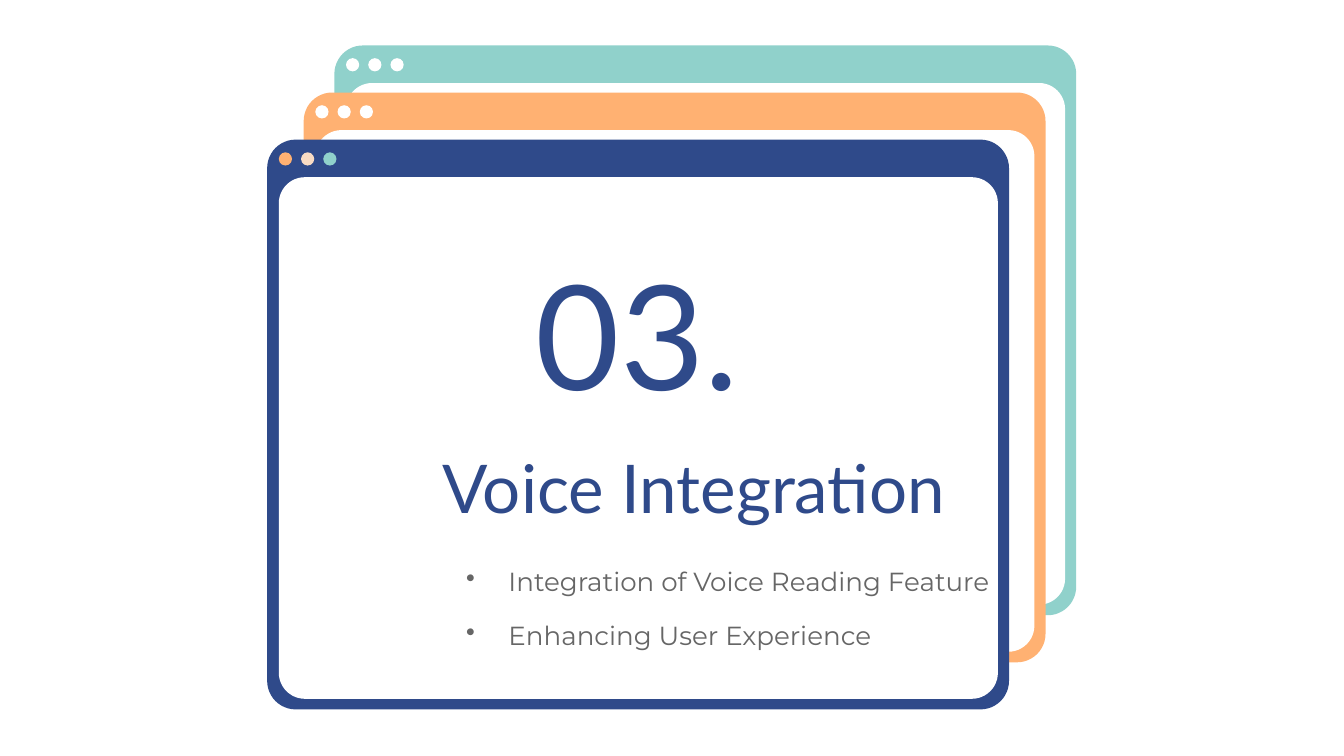
from lxml import etree
from pptx import Presentation
from pptx.dml.color import RGBColor
from pptx.enum.shapes import MSO_SHAPE
from pptx.enum.text import MSO_ANCHOR, PP_ALIGN
from pptx.oxml.ns import qn
from pptx.util import Cm, Pt

ROUNDED, OVAL = MSO_SHAPE.ROUNDED_RECTANGLE, MSO_SHAPE.OVAL
TOP, MIDDLE, BOTTOM = MSO_ANCHOR.TOP, MSO_ANCHOR.MIDDLE, MSO_ANCHOR.BOTTOM
LEFT, CENTER = PP_ALIGN.LEFT, PP_ALIGN.CENTER

TEAL, ORANGE, NAVY = "90D1CB", "FFB172", "2F4A8A"
PEACH, WHITE, GRAY = "F8DBC4", "FFFFFF", "666666"


def color(hex_code):
    return RGBColor.from_string(hex_code)


def write(paragraph, text, size=14, font="Lato", fill=NAVY, align=LEFT,
          after=0, bullet=None, indent=0.8):
    """Put one formatted run in a paragraph, with an optional bullet."""
    paragraph.alignment = align
    paragraph.space_after = Pt(after)
    run = paragraph.add_run()
    run.text = text
    run.font.size, run.font.name = Pt(size), font
    run.font.color.rgb = color(fill)
    if bullet:
        props = paragraph._p.get_or_add_pPr()
        props.set("marL", str(Cm(indent)))
        props.set("indent", str(-Cm(indent)))
        etree.SubElement(props, qn("a:buChar")).set("char", bullet)


class SlideBuilder:
    margin = Cm(0.25)

    def __init__(self, slide):
        self.slide = slide

    def shape(self, kind, left, top, width, height, fill, radius=None):
        shape = self.slide.shapes.add_shape(
            kind, Cm(left), Cm(top), Cm(width), Cm(height))
        shape.shadow.inherit = False
        shape.fill.solid()
        shape.fill.fore_color.rgb = color(fill)
        shape.line.fill.background()
        if radius is not None:
            shape.adjustments[0] = radius

    def window(self, left, top, frame, dots):
        self.shape(ROUNDED, left, top, 14.02, 10.77, frame, 0.05)
        self.shape(ROUNDED, left + 0.22, top + 0.71, 13.59, 9.86, WHITE, 0.05)
        for i, dot in enumerate(dots):
            self.shape(OVAL, left + 0.22 + 0.42 * i, top + 0.24, 0.25, 0.25, dot)

    def text(self, left, top, width, height, lines, anchor=TOP, **style):
        box = self.slide.shapes.add_textbox(
            Cm(left), Cm(top), Cm(width), Cm(height))
        frame = box.text_frame
        frame.word_wrap = True
        frame.vertical_anchor = anchor
        frame.margin_left = frame.margin_right = self.margin
        frame.margin_top = frame.margin_bottom = self.margin
        for i, line in enumerate(lines):
            paragraph = frame.add_paragraph() if i else frame.paragraphs[0]
            write(paragraph, line, **style)


def main():
    deck = Presentation()
    deck.slide_width, deck.slide_height = Cm(25.4), Cm(14.29)
    section = SlideBuilder(deck.slides.add_slide(deck.slide_layouts[6]))

    # Stacked browser windows, back to front
    section.window(6.32, 0.86, TEAL, [WHITE] * 3)
    section.window(5.74, 1.75, ORANGE, [WHITE] * 3)
    section.window(5.05, 2.64, NAVY, [ORANGE, PEACH, TEAL])

    # Section title, topics and number
    section.text(7.37, 8.03, 11.48, 2.34, ["Voice Integration"],
                 anchor=MIDDLE, size=36, align=CENTER)
    section.text(8.56, 10.44, 10.64, 1.63,
                 ["Integration of Voice Reading Feature",
                  "Enhancing User Experience"],
                 font="Montserrat", fill=GRAY, after=12, bullet="•")
    section.text(7.82, 4.29, 8.46, 3.89, ["03."],
                 anchor=BOTTOM, size=78, align=CENTER)

    deck.save("out.pptx")


if __name__ == "__main__":
    main()
